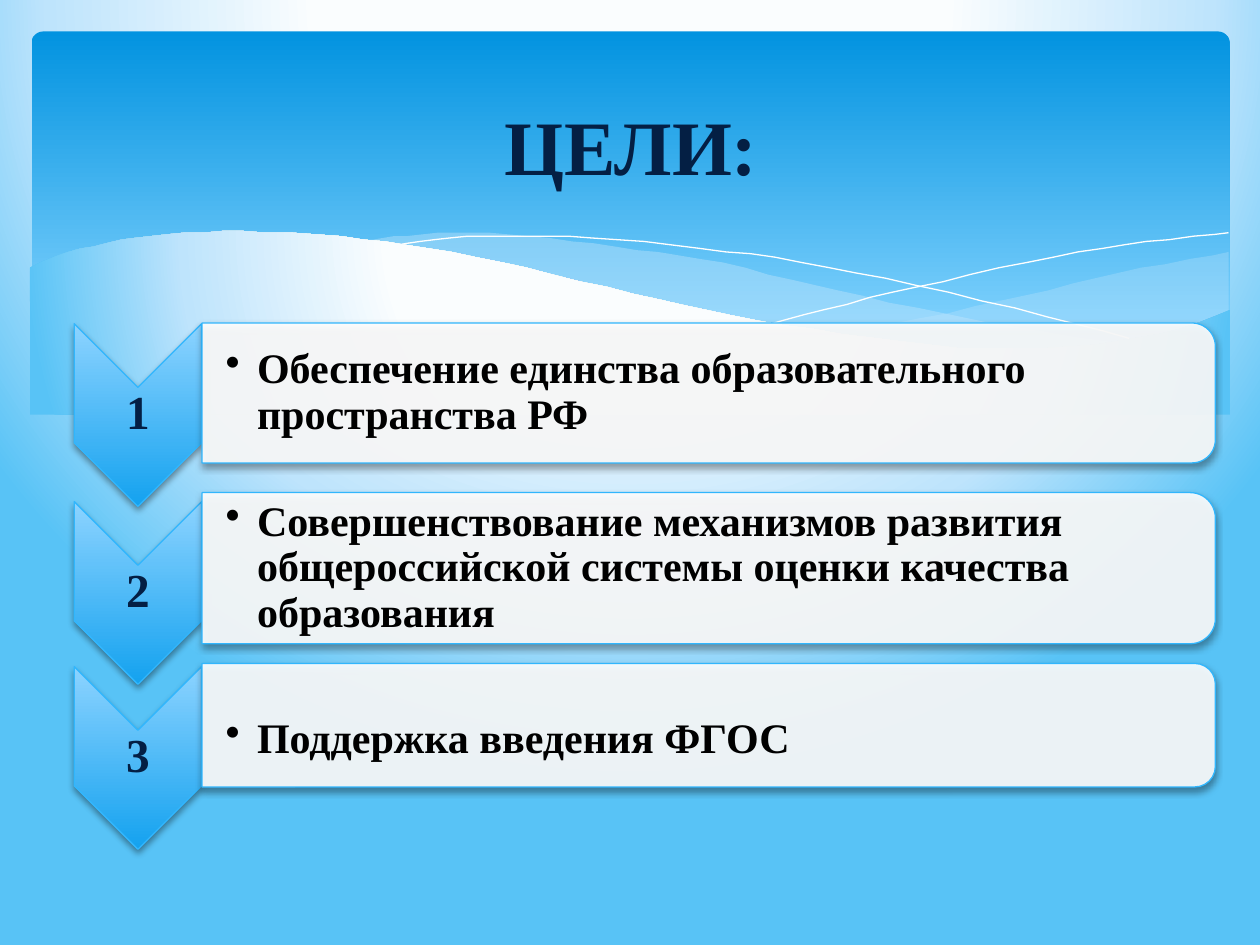
import pptx
import pptx.util
import pptx.dml.color
import pptx.enum.shapes
import pptx.enum.text
import pptx.oxml
import pptx.oxml.ns

Pt = pptx.util.Pt
qn = pptx.oxml.ns.qn
shapes = pptx.enum.shapes.MSO_SHAPE
align = pptx.enum.text.PP_ALIGN
NS = pptx.oxml.ns.nsdecls("a")
FONT, NAVY, BLUE = "Times New Roman", "041F44", "31B6FD"
SKY = [(40, "FAFDFE"), (74, "BEE4FC"), (100, "58C3F6")]
GLOW = ('<a:path path="circle"><a:fillToRect l="20000" t="-40000" '
        'r="20000" b="140000"/></a:path>')
DOWN = '<a:lin ang="5400000" scaled="0"/>'


def paint(parent, fill, color, alpha=100, stops=None, direction=DOWN):
    """Fill with a colour, optionally transparent, or with a gradient."""
    fill.solid()
    fill.fore_color.rgb = pptx.dml.color.RGBColor.from_string(color)
    solid = parent.find(qn("a:solidFill"))
    if stops:
        marks = "".join(f'<a:gs pos="{pos * 1000}"><a:srgbClr val="{tone}"/></a:gs>'
                        for pos, tone in stops)
        parent.replace(solid, pptx.oxml.parse_xml(
            f'<a:gradFill {NS} rotWithShape="0"><a:gsLst>{marks}</a:gsLst>{direction}</a:gradFill>'))
    elif alpha < 100:
        solid[0].append(pptx.oxml.parse_xml(f'<a:alpha {NS} val="{alpha * 1000}"/>'))


def write(left, top, width, height, text, size, color, alignment, spacing=0.9, inset=1.4):
    """Add a bold text box, centred vertically."""
    box = page.shapes.add_textbox(Pt(left), Pt(top), Pt(width), Pt(height))
    frame = box.text_frame
    frame.word_wrap = True
    frame.vertical_anchor = pptx.enum.text.MSO_ANCHOR.MIDDLE
    frame.margin_left = frame.margin_right = Pt(inset)
    frame.margin_top = frame.margin_bottom = Pt(inset)
    frame.text = text
    para = frame.paragraphs[0]
    para.alignment = alignment
    para.line_spacing = spacing
    font = para.runs[0].font
    font.name, font.size, font.bold = FONT, Pt(size), True
    font.color.rgb = pptx.dml.color.RGBColor.from_string(color)
    return box


deck = pptx.Presentation()
deck.slide_width, deck.slide_height = Pt(720), Pt(540)
page = deck.slides.add_slide(deck.slide_layouts[6])

# Background
backdrop = page.background.fill
backdrop.solid()
paint(page.element.find(".//" + qn("p:bgPr")), backdrop, SKY[-1][1], stops=SKY, direction=GLOW)

# Header panel
header = page.shapes.add_shape(shapes.ROUNDED_RECTANGLE, Pt(18), Pt(18), Pt(684.7), Pt(194.4))
header.adjustments[0] = 0.034
header.shadow.inherit = False
header.line.fill.background()
paint(header._element.spPr, header.fill, "0293E0", stops=[(0, "0293E0"), (90, "83D3FE")])

# Waves: smooth edges through knots, then straight corners
right_band = [[(702, 144), (652, 153.4), (599, 165.6), (542, 178.6), (476, 190.8)],
              [(476, 190.8), (527, 197.3), (578, 200), (622, 199), (663, 192.2), (702, 177.8)]]
middle_band = [[(643, 196.6), (581, 187.2), (508, 172.8), (453, 159.8), (400, 147.6),
                (352, 141.1), (302, 134.6), (260, 133.2), (225, 135.4), (206, 137.5)],
               [(206, 137.5), (261, 146), (323, 159.8), (382, 172.8), (433, 183.6),
                (490, 193.7), (548, 199.4), (596, 200.2), (643, 196.6)]]
falling_line = [[(222.5, 140.4), (248, 136.8), (289, 134.6), (338, 136), (400, 141.8),
                 (458, 149.8), (523, 162.7), (598, 180.7), (653, 195.8)]]
rising_line = [[(441, 185), (484, 173.5), (539, 160.6), (602, 146.9), (655, 138.2), (702, 133.2)]]
front_wave = [[(703.4, 177.1), (662, 190.8), (612, 198), (548, 198.7), (481, 190.8),
               (417, 180), (362, 167.8), (301, 153.4), (245, 141.8), (195, 135.4),
               (139, 132.5), (95, 133.9), (61, 139), (33, 146.2), (16.6, 153.4)],
              [(16.6, 236.9), (703.4, 236.9)]]
waves = [(right_band, "C6E7FC", 29, None), (middle_band, "C6E7FC", 40, None),
         (falling_line, None, 100, None), (rising_line, None, 100, None),
         (front_wave, SKY[-1][1], 100, SKY)]
for edges, color, alpha, stops in waves:
    outline = []
    for knots in edges:
        if len(knots) == 2:
            outline += knots
            continue
        padded = [knots[0]] + knots + [knots[-1]]
        for a, b, c, d in zip(padded, padded[1:], padded[2:], padded[3:]):
            for t in (0, 0.25, 0.5, 0.75):
                outline.append(tuple(
                    b[i] + t / 2 * (c[i] - a[i] + t * (2 * a[i] - 5 * b[i] + 4 * c[i] - d[i]
                                    + t * (3 * b[i] - a[i] - 3 * c[i] + d[i])))
                    for i in (0, 1)))
        outline.append(knots[-1])
    builder = page.shapes.build_freeform(*outline[0], scale=float(Pt(1)))
    builder.add_line_segments(outline[1:], close=color is not None)
    wave = builder.convert_to_shape()
    wave.shadow.inherit = False
    if color:
        wave.line.fill.background()
        paint(wave._element.spPr, wave.fill, color, alpha, stops, GLOW)
    else:
        wave.fill.background()
        wave.line.color.rgb = pptx.dml.color.RGBColor.from_string("FFFFFF")
        wave.line.width = Pt(0)

# Goals: chevron centre, panel centre, panel height, room above the text
goals = [
    ("Обеспечение единства образовательного пространства РФ", 237.2, 224.6, 80, 0),
    ("Совершенствование механизмов развития общероссийской системы оценки качества образования",
     338.8, 324.7, 86.4, 0),
    ("Поддержка введения ФГОС", 433.1, 414.4, 70.6, 17),
]
for number, (goal, chevron_y, panel_y, panel_height, room) in enumerate(goals, 1):
    chevron = page.shapes.add_shape(shapes.CHEVRON, Pt(26.6), Pt(chevron_y - 36.4), Pt(104.4), Pt(72.8))
    paint(chevron._element.spPr, chevron.fill, "14A2EF", stops=[(0, "8CD3FF"), (100, "14A2EF")])
    panel = page.shapes.add_shape(shapes.ROUND_2_SAME_RECTANGLE, Pt(405 - panel_height / 2),
                                  Pt(panel_y - 289.5), Pt(panel_height), Pt(579))
    paint(panel._element.spPr, panel.fill, "FFFFFF", 90)
    for shape in (chevron, panel):
        shape.rotation = 90
        shape.line.color.rgb = pptx.dml.color.RGBColor.from_string(BLUE)
        shape.line.width = Pt(0.75)
        shape.shadow.inherit = False
        shape._element.spPr.find(qn("a:effectLst")).append(pptx.oxml.parse_xml(
            f'<a:outerShdw {NS} blurRad="{Pt(4)}" dist="{Pt(2)}" dir="5400000" rotWithShape="0">'
            '<a:srgbClr val="000000"><a:alpha val="38000"/></a:srgbClr></a:outerShdw>'))

    write(42.5, chevron_y - 15.8, 72.7, 31, str(number), 27, NAVY, align.CENTER)
    box = write(115.2, panel_y - panel_height / 2 + 4, 575.3, panel_height - 8,
                goal, 24, "000000", align.LEFT)
    box.text_frame.margin_left = Pt(13.7)
    box.text_frame.margin_top = Pt(1.4 + room)
    bullet = box.text_frame.paragraphs[0]._p.get_or_add_pPr()
    bullet.set("marL", str(Pt(18)))
    bullet.set("indent", str(Pt(-18)))
    bullet.append(pptx.oxml.parse_xml(f'<a:buChar {NS} char="•"/>'))

# Title
write(36.7, 43.2, 648, 79.2, "ЦЕЛИ:", 44, NAVY, align.CENTER, 1, 3.6)

deck.save("out.pptx")
